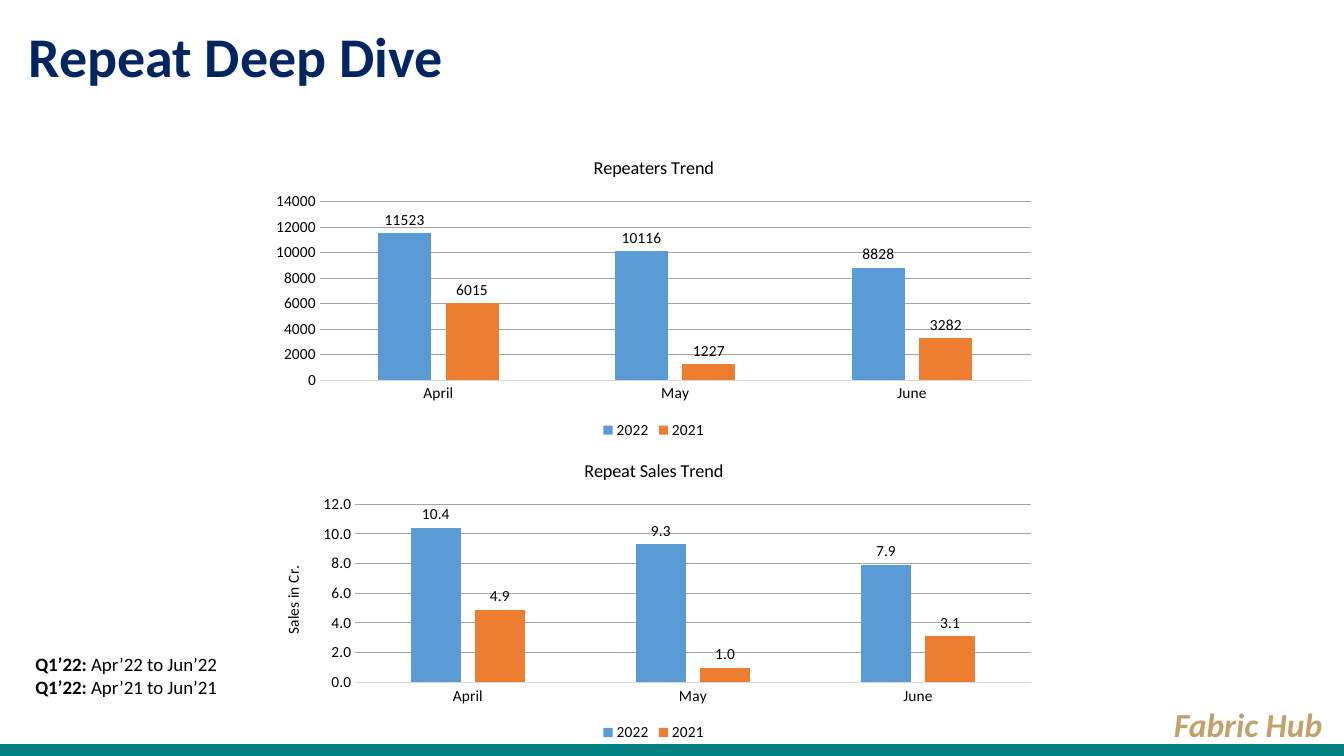
"""Build the repeat customer slide with its two column charts."""
from lxml import etree
from pptx import Presentation
from pptx.chart.data import CategoryChartData as ChartData
from pptx.dml.color import RGBColor as Rgb
from pptx.enum.chart import XL_CHART_TYPE as Kind
from pptx.enum.chart import XL_LABEL_POSITION as Spot
from pptx.enum.chart import XL_LEGEND_POSITION as Side
from pptx.enum.chart import XL_TICK_MARK as Tick
from pptx.enum.text import MSO_ANCHOR as Anchor
from pptx.enum.text import PP_ALIGN as Align
from pptx.oxml.ns import qn
from pptx.util import Cm, Pt

HUES = {
    "navy": "002561", "gold": "C1A26D", "teal": "008080", "black": "000000",
    "2022": "5B9BD5", "2021": "ED7D31", "grid": "A5A5A5", "base": "D9D9D9",
}
FACE = "Calibri"
MONTHS = ("April", "May", "June")
WIDE, HIGH = 33.87, 19.05


def hue(name):
    """Return the named colour."""
    return Rgb.from_string(HUES[name])


def style(font, size, color="black", bold=False, slant=False):
    """Set face, size, colour and weight of a font."""
    font.name, font.size = FACE, Pt(size)
    font.bold, font.italic = bold, slant
    font.color.rgb = hue(color)


def add_box(slide, box, anchor=Anchor.MIDDLE):
    """Add a wrapping text box and return its frame."""
    frame = slide.shapes.add_textbox(*map(Cm, box)).text_frame
    frame.word_wrap = True
    frame.vertical_anchor = anchor
    return frame


def add_title(slide, box, text):
    """Place the slide title."""
    para = add_box(slide, box).paragraphs[0]
    para.text, para.line_spacing = text, 0.9
    style(para.font, 40, "navy", bold=True)


def add_brand(slide, box, text):
    """Place the brand name in the corner."""
    para = add_box(slide, box).paragraphs[0]
    para.text, para.alignment = text, Align.CENTER
    style(para.font, 24, "gold", bold=True, slant=True)


def add_strip(slide, box):
    """Draw the band along the foot, slanted at its right end."""
    left, top, width, height = map(Cm, box)
    pen = slide.shapes.build_freeform(left, top + height)
    right = left + width
    pen.add_line_segments([(left, top), (right, top),
                           (right - Cm(0.18), top + height)])
    strip = pen.convert_to_shape()
    strip.shadow.inherit = False
    strip.fill.solid()
    strip.fill.fore_color.rgb = hue("teal")
    strip.line.fill.background()


def add_notes(slide, box, notes):
    """List the periods, each with a bold lead."""
    frame = add_box(slide, box, Anchor.TOP)
    for i, (lead, span) in enumerate(notes):
        para = frame.add_paragraph() if i else frame.paragraphs[0]
        style(para.font, 13.5)
        for text, bold in ((lead, True), (span, False)):
            run = para.add_run()
            run.text, run.font.bold = text, bold


def set_head(item, text, size):
    """Write the title of a chart or an axis."""
    para = item.text_frame.paragraphs[0]
    para.text = text
    style(para.font, size)


def set_plot(chart, left):
    """Fix the inner plot area, as shares of the chart."""
    area = chart.plots[0]._element.getparent()
    for old in area.findall(qn("c:layout")):
        area.remove(old)
    layout = etree.Element(qn("c:layout"))
    area.insert(0, layout)
    manual = etree.SubElement(layout, qn("c:manualLayout"))
    parts = {"layoutTarget": "inner", "xMode": "edge", "yMode": "edge",
             "x": left, "y": 0.2, "w": round(0.98 - left, 3), "h": 0.59}
    for tag, val in parts.items():
        etree.SubElement(manual, qn("c:" + tag)).set("val", str(val))


def add_trend(slide, box, title, rows, top, step, left, form, unit=None):
    """Place a clustered column chart of both years by month."""
    data = ChartData(number_format=form)
    data.categories = MONTHS
    for name, vals in rows.items():
        data.add_series(name, vals)
    chart = slide.shapes.add_chart(
        Kind.COLUMN_CLUSTERED, *map(Cm, box), data).chart
    style(chart.font, 11)
    chart.has_title = True
    set_head(chart.chart_title, title, 13)
    chart.has_legend = True
    chart.legend.position = Side.BOTTOM
    chart.legend.include_in_layout = False
    style(chart.legend.font, 11)
    plot = chart.plots[0]
    plot.gap_width, plot.overlap = 219, -27
    plot.vary_by_categories = False
    for row in plot.series:
        row.format.fill.solid()
        row.format.fill.fore_color.rgb = hue(row.name)
        tags = row.data_labels
        tags.show_value, tags.position = True, Spot.OUTSIDE_END
        tags.number_format, tags.number_format_is_linked = form, False
        style(tags.font, 11)
    cats, vals = chart.category_axis, chart.value_axis
    for axis in (cats, vals):
        axis.major_tick_mark = axis.minor_tick_mark = Tick.NONE
        style(axis.tick_labels.font, 11)
    vals.minimum_scale, vals.maximum_scale, vals.major_unit = 0, top, step
    vals.tick_labels.number_format = form
    vals.tick_labels.number_format_is_linked = False
    vals.format.line.fill.background()
    for line, color in ((cats.format.line, "base"),
                        (vals.major_gridlines.format.line, "grid")):
        line.color.rgb, line.width = hue(color), Pt(0.75)
    if unit:
        set_head(vals.axis_title, unit, 11)
    set_plot(chart, left)


def main():
    """Build and save the slide."""
    deck = Presentation()
    deck.slide_width, deck.slide_height = Cm(WIDE), Cm(HIGH)
    slide = deck.slides.add_slide(deck.slide_layouts[6])
    add_strip(slide, (0, 18.75, 34.14, 0.3))
    add_title(slide, (0.48, 0.03, 29.64, 2.95), "Repeat Deep Dive")
    add_brand(slide, (29.03, 17.73, 4.85, 1.02), "Fabric Hub")
    x, y, wide, high = 6.58, 3.56, 19.79, 7.62
    add_trend(slide, (x, y, wide, high), "Repeaters Trend",
              {"2022": (11523, 10116, 8828), "2021": (6015, 1227, 3282)},
              14000, 2000, 0.075, "General")
    add_trend(slide, (x, y + high, wide, high), "Repeat Sales Trend",
              {"2022": (10.4, 9.3, 7.9), "2021": (4.9, 1, 3.1)},
              12, 2, 0.12, "0.0", "Sales in Cr.")
    add_notes(slide, (0.64, 16.33, 5.18, 1.42),
              (("Q1’22: ", "Apr’22 to Jun’22"),
               ("Q1’22: ", "Apr’21 to Jun’21")))
    deck.save("out.pptx")


if __name__ == "__main__":
    main()
